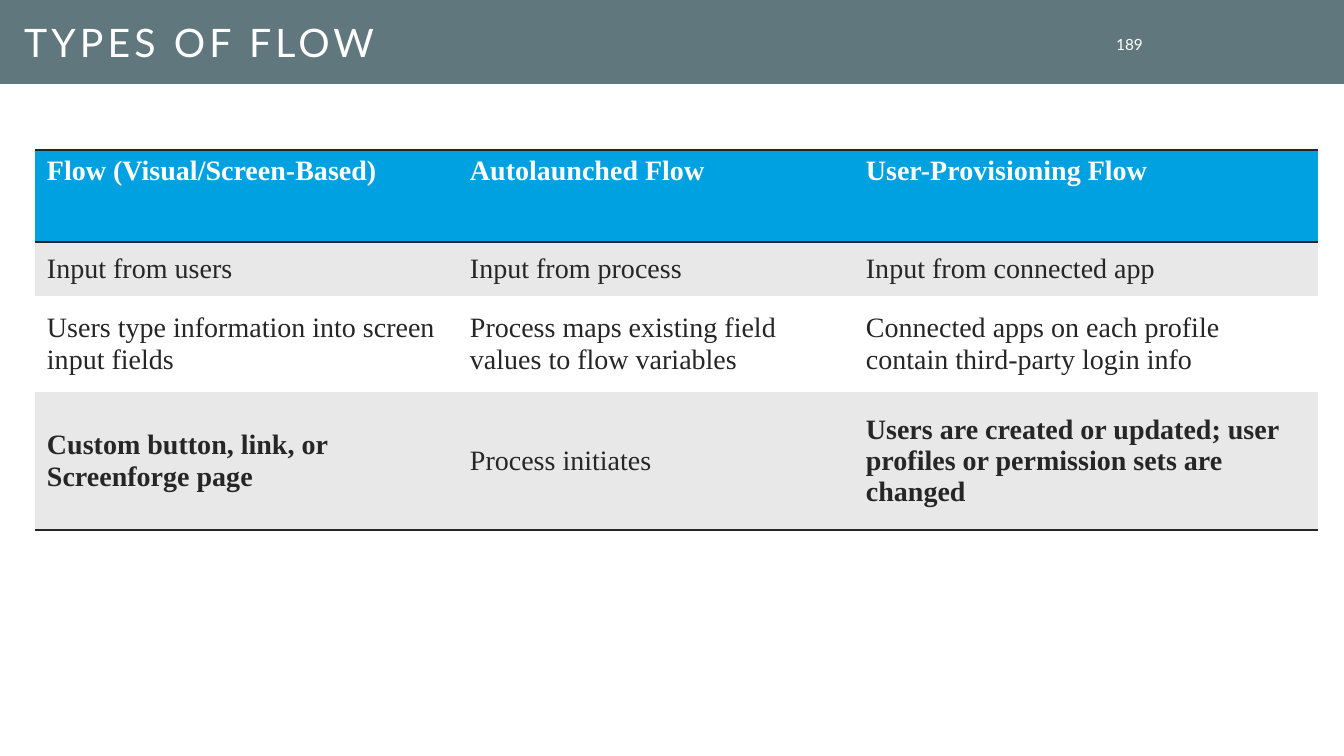
from lxml import etree
from pptx import Presentation
from pptx.dml.color import RGBColor
from pptx.enum.shapes import MSO_SHAPE
from pptx.enum.text import MSO_ANCHOR, MSO_AUTO_SIZE, PP_ALIGN
from pptx.oxml.ns import qn
from pptx.util import Pt

RECT = MSO_SHAPE.RECTANGLE
TOP, MIDDLE = MSO_ANCHOR.TOP, MSO_ANCHOR.MIDDLE
LEFT, RIGHT = PP_ALIGN.LEFT, PP_ALIGN.RIGHT
NO_FIT = MSO_AUTO_SIZE.NONE

WHITE = RGBColor(0xFF, 0xFF, 0xFF)
SLATE = RGBColor(0x60, 0x77, 0x7E)
BLUE = RGBColor(0x00, 0xA1, 0xE0)
GREY = RGBColor(0xE8, 0xE8, 0xE8)
INK = RGBColor(0x26, 0x26, 0x26)

PX = 12192000 / 1344
NO_STYLE = "{2D5ABB26-0587-4C30-8999-92F81FD0307C}"


def px(*values):
    return [round(v * PX) for v in values]


def format_text(tf, font, size, color, bold=False):
    for p in tf.paragraphs:
        for r in p.runs:
            r.font.name = font
            r.font.size = Pt(size)
            r.font.bold = bold
            r.font.color.rgb = color


prs = Presentation()
prs.slide_width, prs.slide_height = px(1344, 756)
slide = prs.slides.add_slide(prs.slide_layouts[5])
shapes = slide.shapes

# Header band, placed behind the title
band = shapes.add_shape(RECT, *px(0, 0, 1344, 84))
band.shadow.inherit = False
band.fill.solid()
band.fill.fore_color.rgb = SLATE
band.line.fill.background()
shapes._spTree.insert(2, band._element)

# Slide number
number = shapes.add_textbox(*px(1100, 33, 53, 22))
tf = number.text_frame
tf.margin_left, tf.margin_top, tf.margin_right, tf.margin_bottom = px(10, 0, 10, 0)
tf.word_wrap = True
tf.vertical_anchor = MIDDLE
tf.text = "189"
tf.paragraphs[0].alignment = RIGHT
format_text(tf, "Lato", 11, WHITE)

# Title
title = shapes.title
title.left, title.top, title.width, title.height = px(14, 0, 1086, 83)
tf = title.text_frame
tf.margin_left, tf.margin_top, tf.margin_right, tf.margin_bottom = px(10, 15, 10, 5)
tf.auto_size = NO_FIT
tf.vertical_anchor = MIDDLE
tf.text = "TYPES OF FLOW"
p = tf.paragraphs[0]
p.alignment = LEFT
p.line_spacing = 0.8
format_text(tf, "Lato", 28, WHITE)
p.runs[0].font._element.set("spc", "300")

# Flow comparison table
flow_rows = [
    ["Flow (Visual/Screen-Based)", "Autolaunched Flow", "User-Provisioning Flow"],
    ["Input from users", "Input from process", "Input from connected app"],
    ["Users type information into screen input fields",
     "Process maps existing field values to flow variables",
     "Connected apps on each profile contain third-party login info"],
    ["Custom button, link, or Screenforge page", "Process initiates",
     "Users are created or updated; user profiles or permission sets are changed"],
]
row_heights = [92, 54, 96, 138]
col_widths = [423, 396, 464]
row_fills = [BLUE, GREY, WHITE, GREY]
row_borders = [["a:lnT", "a:lnB"], [], [], ["a:lnB"]]
bold_cells = {(0, 0), (0, 1), (0, 2), (3, 0), (3, 2)}

frame = shapes.add_table(4, 3, *px(35, 150, sum(col_widths), sum(row_heights)))
table = frame.table
table._tbl.tblPr.find(qn("a:tableStyleId")).text = NO_STYLE
for column, width in zip(table.columns, px(*col_widths)):
    column.width = width
for row, height in zip(table.rows, px(*row_heights)):
    row.height = height

for i, texts in enumerate(flow_rows):
    for j, text in enumerate(texts):
        cell = table.cell(i, j)
        cell.text = text
        cell.margin_left, cell.margin_top, cell.margin_right, cell.margin_bottom = px(12, 5, 12, 5)
        cell.vertical_anchor = MIDDLE if i else TOP
        format_text(cell.text_frame, "Times New Roman", 20,
                    INK if i else WHITE, (i, j) in bold_cells)
        # Borders come before the fill in the cell properties
        tcPr = cell._tc.get_or_add_tcPr()
        for tag in row_borders[i]:
            ln = etree.SubElement(tcPr, qn(tag), w=str(Pt(2)))
            fill = etree.SubElement(ln, qn("a:solidFill"))
            etree.SubElement(fill, qn("a:srgbClr"), val=str(INK))
        cell.fill.solid()
        cell.fill.fore_color.rgb = row_fills[i]

prs.save("out.pptx")
